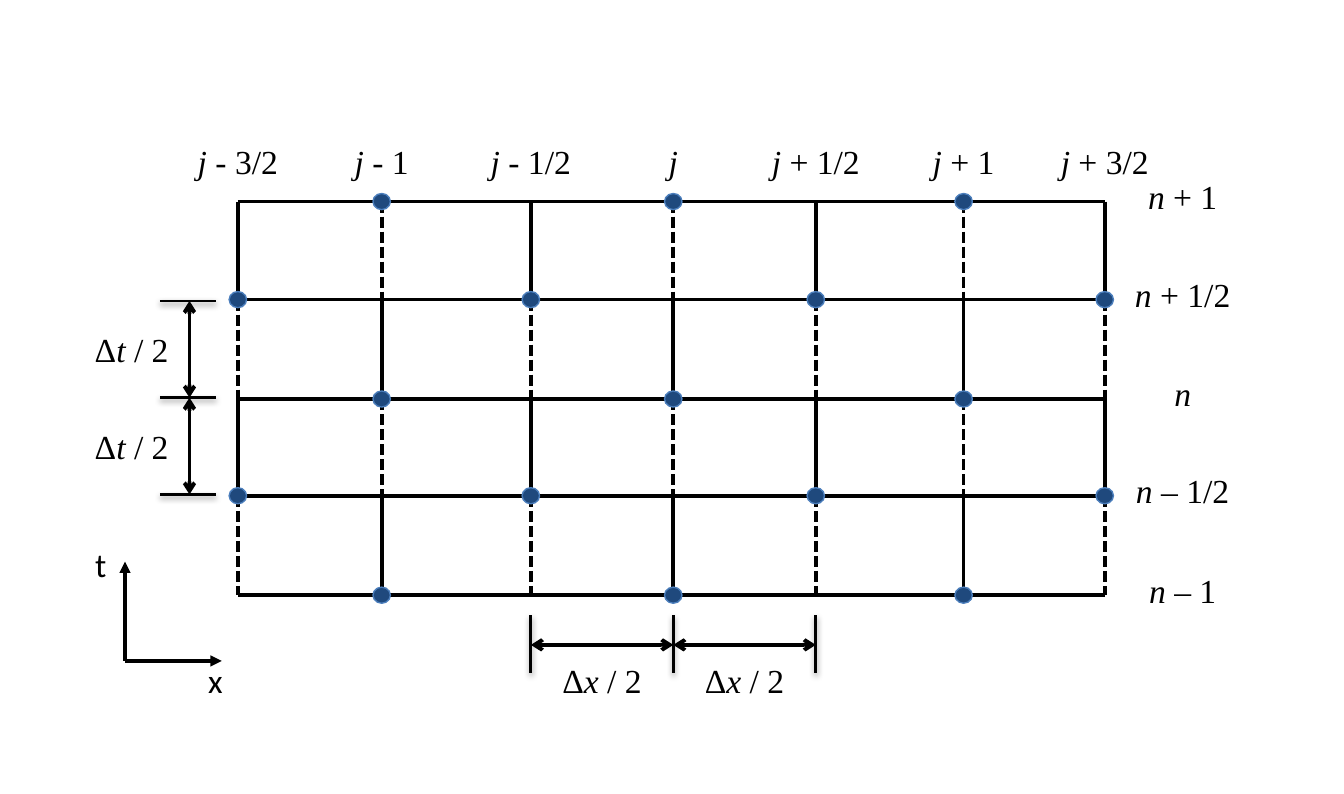
import lxml.etree
import pptx
import pptx.dml.color
import pptx.enum.dml
import pptx.enum.shapes
import pptx.enum.text
import pptx.oxml.ns
import pptx.util
from pptx.util import Inches

theme = {
    "ink": pptx.dml.color.RGBColor.from_string("000000"),
    "dot": pptx.dml.color.RGBColor.from_string("1F497D"),
    "dot_edge": pptx.dml.color.RGBColor.from_string("4B7EBC"),
    "math_font": "Times New Roman",
    "axis_font": "Calibri",
    "text_size": 18,
    "grid_width": 2,
    "tick_width": 1.5,
    "edge_width": 0.75,
}

presentation = pptx.Presentation()
presentation.slide_width = Inches(10)
presentation.slide_height = Inches(5.91)
slide = presentation.slides.add_slide(presentation.slide_layouts[6])
qualified = pptx.oxml.ns.qn


def add_line(start, end, width=theme["grid_width"], dashed=False, head=None, tail=None, shadow=False):
    connector = slide.shapes.add_connector(
        pptx.enum.shapes.MSO_CONNECTOR.STRAIGHT, *(Inches(value) for value in (*start, *end)))
    connector.line.color.rgb = theme["ink"]
    connector.line.width = pptx.util.Pt(width)
    if dashed:
        connector.line.dash_style = pptx.enum.dml.MSO_LINE.SQUARE_DOT
    properties = connector._element.spPr
    outline = properties.find(qualified("a:ln"))
    for tag, arrow in (("a:headEnd", head), ("a:tailEnd", tail)):
        if arrow:
            lxml.etree.SubElement(outline, qualified(tag), type=arrow)
    effects = lxml.etree.SubElement(properties, qualified("a:effectLst"))
    if shadow:
        outer = lxml.etree.SubElement(
            effects, qualified("a:outerShdw"), blurRad="40000", dist="20000", dir="5400000", rotWithShape="0")
        color = lxml.etree.SubElement(outer, qualified("a:srgbClr"), val=str(theme["ink"]))
        lxml.etree.SubElement(color, qualified("a:alpha"), val="38000")


def add_label(center, top, width, runs, font=theme["math_font"]):
    box = slide.shapes.add_textbox(Inches(center - width / 2), Inches(top), Inches(width), Inches(0.4))
    frame = box.text_frame
    frame.word_wrap = True
    frame.auto_size = pptx.enum.text.MSO_AUTO_SIZE.SHAPE_TO_FIT_TEXT
    paragraph = frame.paragraphs[0]
    paragraph.alignment = pptx.enum.text.PP_ALIGN.CENTER
    paragraph.font.name = font
    paragraph.font.size = pptx.util.Pt(theme["text_size"])
    paragraph.font.color.rgb = theme["ink"]
    for text, italic in runs:
        run = paragraph.add_run()
        run.text = text
        run.font.italic = italic


columns = [1.77, 2.84, 3.95, 5.01, 6.07, 7.17, 8.22]
rows = [1.5, 2.23, 2.97, 3.69, 4.43]
column_offsets = ["- 3/2", "- 1", "- 1/2", "", "+ 1/2", "+ 1", "+ 3/2"]
row_offsets = ["+ 1", "+ 1/2", "", "– 1/2", "– 1"]

for y in rows:
    add_line((columns[0], y), (columns[-1], y))
for column, x in enumerate(columns):
    for row, (top, bottom) in enumerate(zip(rows, rows[1:])):
        add_line((x, top), (x, bottom), dashed=(column + row) % 2 == 1)

dot_width, dot_height = 0.13, 0.12
for column, x in enumerate(columns):
    for row, y in enumerate(rows):
        if (column + row) % 2 == 1:
            dot = slide.shapes.add_shape(
                pptx.enum.shapes.MSO_SHAPE.OVAL, Inches(x - dot_width / 2), Inches(y - dot_height / 2),
                Inches(dot_width), Inches(dot_height))
            dot.shadow.inherit = False
            dot.fill.solid()
            dot.fill.fore_color.rgb = theme["dot"]
            dot.line.color.rgb = theme["dot_edge"]
            dot.line.width = pptx.util.Pt(theme["edge_width"])

for x, offset in zip(columns, column_offsets):
    add_label(x, 1, 0.87, [("j ", True), (offset, False)] if offset else [("j", True)])
for y, offset in zip(rows, row_offsets):
    add_label(8.8, y - 0.24, 0.96, [("n ", True), (offset, False)] if offset else [("n", True)])

step_columns = columns[2:5]
for x in step_columns:
    add_line((x, 4.58), (x, 5.01), theme["tick_width"], shadow=True)
for left, right in zip(step_columns, step_columns[1:]):
    add_line((left, 4.8), (right, 4.8), head="arrow", tail="arrow")
    add_label((left + right) / 2, 4.86, 0.87, [("Δ", False), ("x ", True), ("/ 2", False)])

step_rows = [2.24, 2.96, 3.68]
for y in step_rows:
    add_line((1.19, y), (1.61, y), theme["tick_width"], shadow=True)
for top, bottom in zip(step_rows, step_rows[1:]):
    add_line((1.41, top), (1.41, bottom), head="arrow", tail="arrow")
    add_label(0.98, (top + bottom) / 2 - 0.2, 0.87, [("Δ", False), ("t ", True), ("/ 2", False)])

axis_origin = (0.93, 4.92)
add_line(axis_origin, (0.93, 4.18), tail="triangle")
add_line(axis_origin, (1.65, 4.92), tail="triangle")
add_label(0.75, 4, 0.28, [("t", False)], theme["axis_font"])
add_label(1.59, 4.86, 0.28, [("x", False)], theme["axis_font"])

presentation.save("out.pptx")
